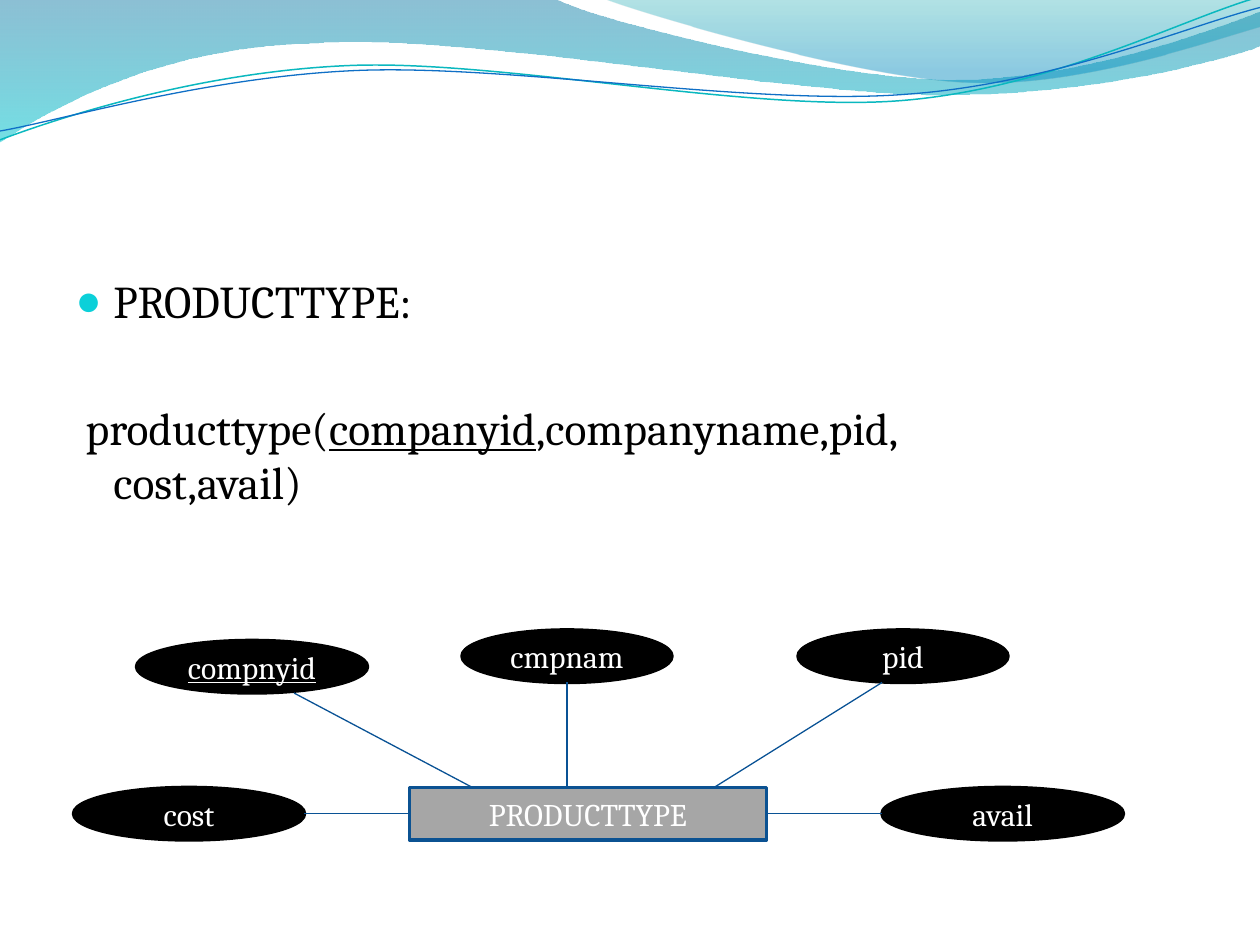
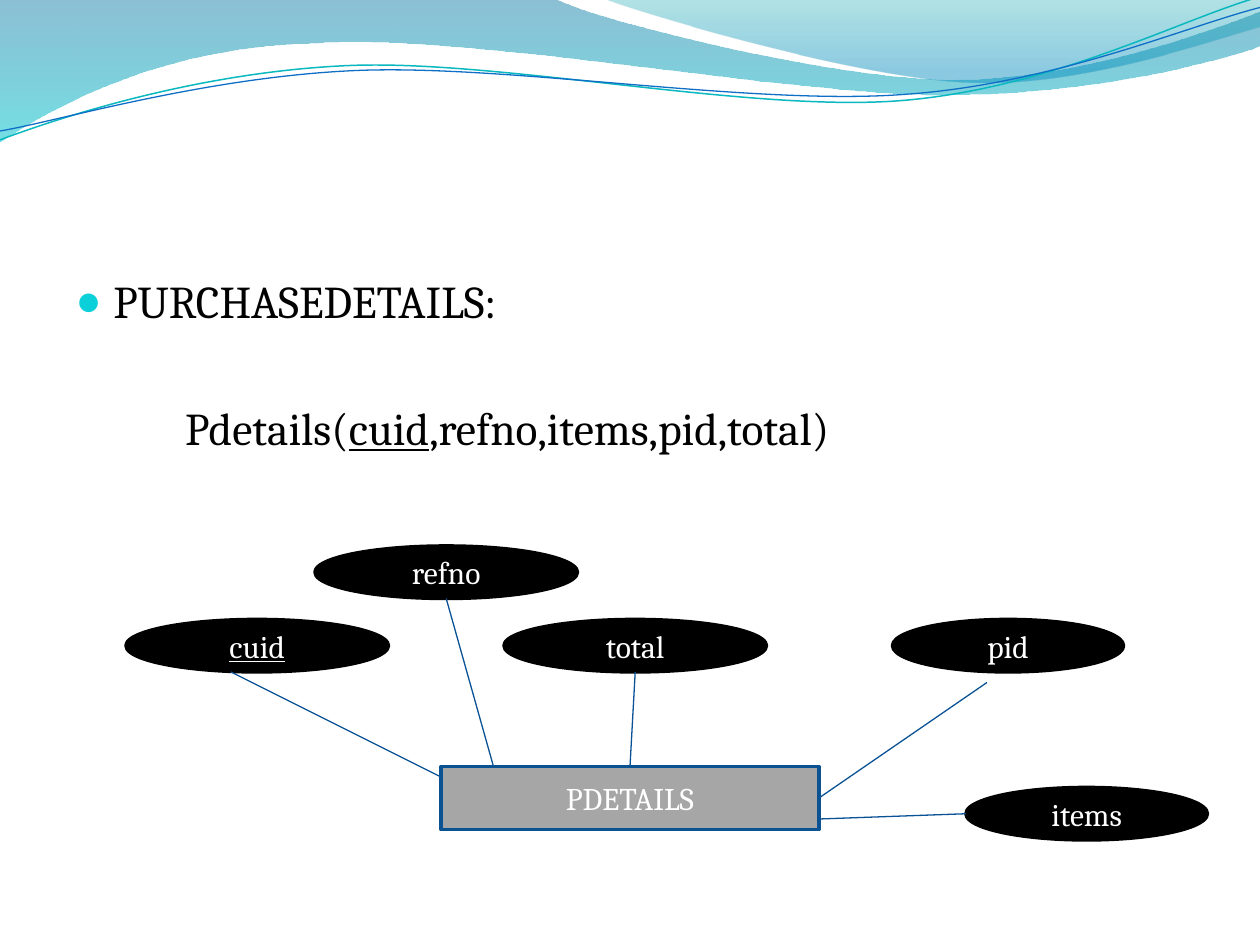
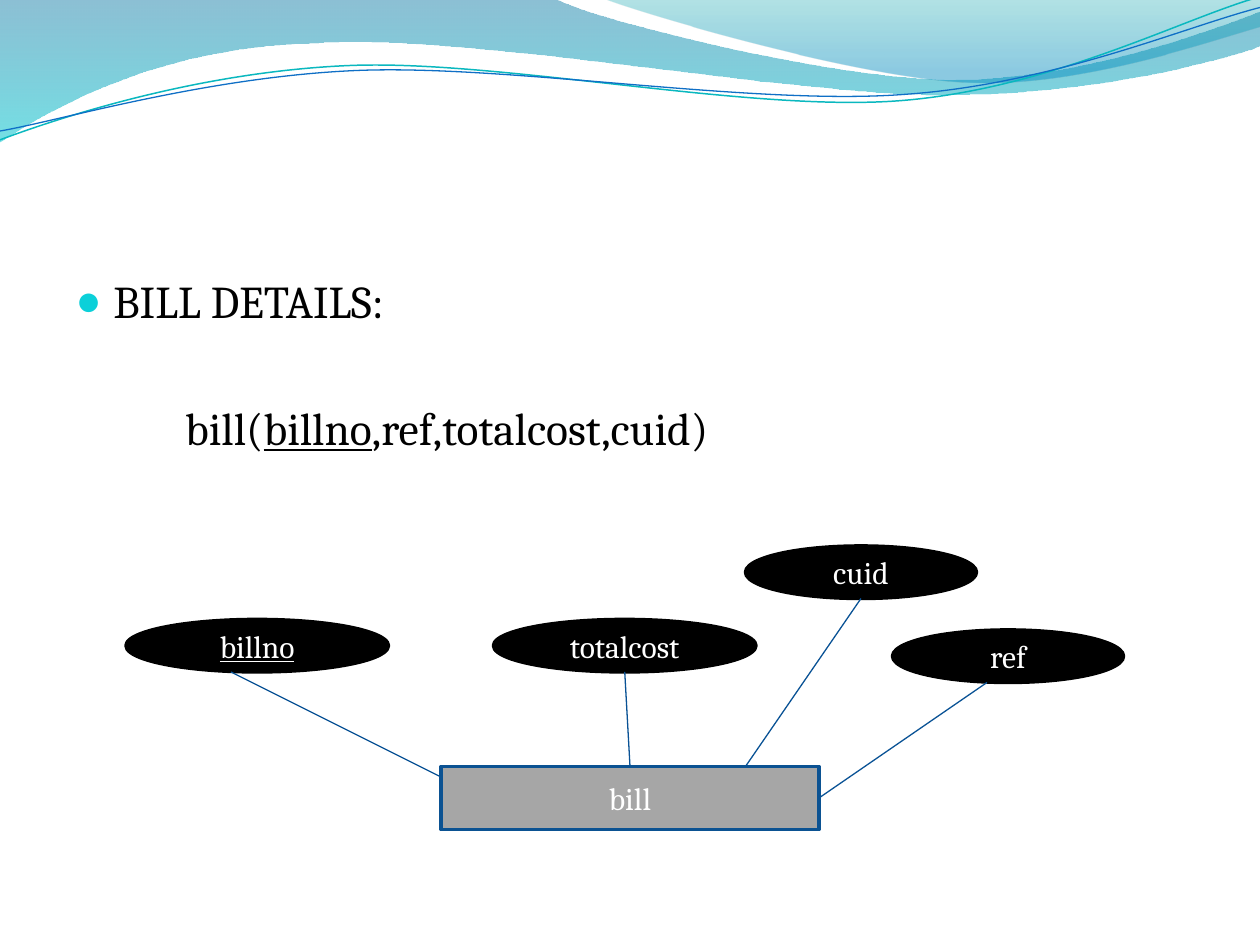
import math

import pptx
import pptx.dml.color
import pptx.enum.shapes
import pptx.enum.text
import pptx.oxml
import pptx.oxml.ns
import pptx.util
from lxml import etree

RGBColor = pptx.dml.color.RGBColor
qn = pptx.oxml.ns.qn
SHAPES = pptx.enum.shapes.MSO_SHAPE

BLACK = RGBColor(0x00, 0x00, 0x00)
WHITE = RGBColor(0xFF, 0xFF, 0xFF)
ENTITY_GREY = RGBColor(0xA6, 0xA6, 0xA6)
ENTITY_EDGE = RGBColor(0x0B, 0x52, 0x92)
LINK_BLUE = RGBColor(0x09, 0x52, 0x95)
BULLET_CYAN = RGBColor(0x0B, 0xD0, 0xD9)
WAVE_TEAL = RGBColor(0x0A, 0xB8, 0xBF)
WAVE_BLUE = RGBColor(0x0F, 0x6F, 0xC6)
BAND_STOPS = [(0, RGBColor(0x00, 0x74, 0xA1), 45), (1, RGBColor(0x00, 0xC6, 0xCF), 55)]
CREST_STOPS = [(0, RGBColor(0x00, 0xA1, 0xA9), 30), (0.8, RGBColor(0x00, 0x8B, 0xBF), 45)]

FONT = "Cambria"
CELL = pptx.util.Inches(1) // 12
OVAL_ROWS = 5
WAVE_TILT = 357.3
TOP, LEFT, RIGHT = 0, 1, 3

BAND = [[(0, 0)], [(4.4, -0.01)],
        [(4.76, 0.17), (6.64, 0.63), (7.58, 0.63)],
        [(8.53, 0.63), (9.58, 0.26), (10, 0.09)], [(10.01, 0.36)],
        [(9.83, 0.44), (8.7, 0.76), (7.46, 0.75)],
        [(6.22, 0.75), (3.82, 0.28), (2.57, 0.34)],
        [(1.29, 0.36), (0.46, 0.83), (-0.01, 1.13)], [(0, 0)]]
CREST = [[(4.79, -0.01)],
         [(5.09, 0.11), (6.82, 0.62), (7.69, 0.65)],
         [(8.56, 0.69), (9.61, 0.32), (10, 0.21)], [(10, 0)], [(4.79, -0.01)]]
TEAL_LINE = [[(0, 1.11)],
             [(0.48, 0.93), (1.58, 0.57), (2.77, 0.52)],
             [(3.95, 0.47), (5.93, 0.89), (7.13, 0.8)],
             [(8.33, 0.71), (9.38, 0.15), (9.98, -0.02)]]
BLUE_LINE = [[(0, 1.04)],
             [(0.47, 0.96), (1.64, 0.61), (2.83, 0.56)],
             [(4.03, 0.51), (5.97, 0.84), (7.17, 0.75)],
             [(8.36, 0.67), (9.41, 0.21), (10, 0.06)]]
TEAL_PIVOT = (4.99, 0.58)
BLUE_PIVOT = (5, 0.59)

PAGES = [
    {"heading": "PRODUCTTYPE:",
     "schema": ("producttype(", "companyid", ",companyname,pid,\ncost,avail)"),
     "margin": 0.3, "indent": -0.22,
     "entity": ("PRODUCTTYPE", 39, 75, 34, 5),
     "attributes": [("cost", 7, 75, 22), ("compnyid", 13, 61, 22), ("cmpnam", 44, 60, 20),
                    ("pid", 76, 60, 20), ("avail", 84, 75, 23)],
     "key": "compnyid",
     "links": [((28, 66), (45, 75)), ((29, 77.5), LEFT), ((84, 65), (68, 75)),
               ((54, 65), (54, 75)), ((84, 77.5), RIGHT)]},
    {"heading": "PURCHASEDETAILS:",
     "schema": ("Pdetails(", "cuid", ",refno,items,pid,total)"),
     "margin": 0.87, "indent": 0,
     "entity": ("PDETAILS", 42, 73, 36, 6),
     "attributes": [("cuid", 12, 59, 25), ("total", 48, 59, 25), ("pid", 85, 59, 22),
                    ("items", 92, 75, 23), ("refno", 30, 52, 25)],
     "key": "cuid",
     "links": [((22, 64), (42, 74)), ((60.5, 64), TOP), ((94, 65), (78, 76)),
               ((92, 77.5), (78, 78)), ((42.5, 57), (47, 73))]},
    {"heading": "BILL DETAILS:",
     "schema": ("bill(", "billno", ",ref,totalcost,cuid)"),
     "margin": 0.87, "indent": 0,
     "entity": ("bill", 42, 73, 36, 6),
     "attributes": [("billno", 12, 59, 25), ("totalcost", 47, 59, 25), ("ref", 85, 60, 22),
                    ("cuid", 71, 52, 22)],
     "key": "billno",
     "links": [((22, 64), (42, 74)), ((59.5, 64), TOP), ((94, 65), (78, 76)),
               ((82, 57), (71, 73))]},
]


def cells(*counts):
    return [round(count * CELL) for count in counts]


def write(para, text, size=18, color=WHITE, underline=False):
    for number, piece in enumerate(text.split("\n")):
        if number:
            para.add_line_break()
            line_break = para._p.findall(qn("a:br"))[-1]
            etree.SubElement(line_break, qn("a:rPr"), sz=str(size * 100))
        span = para.add_run()
        span.text = piece
        span.font.name = FONT
        span.font.size = pptx.util.Pt(size)
        span.font.color.rgb = color
        if underline:
            span.font.underline = True


def level(segments, pivot):
    angle = math.radians(360 - WAVE_TILT)
    cosine, sine = math.cos(angle), math.sin(angle)
    middle, height = pivot
    return [[(middle + (x - middle) * cosine - (y - height) * sine,
              height + (x - middle) * sine + (y - height) * cosine) for x, y in segment]
            for segment in segments]


def build_curve(page, segments, close):
    points = [tuple(map(pptx.util.Inches, point)) for segment in segments for point in segment]
    builder = page.shapes.build_freeform(*points[0])
    builder.add_line_segments(points[1:], close=close)
    wave = builder.convert_to_shape()
    steps = iter(wave.element.findall(".//" + qn("a:lnTo")))
    for segment in segments[1:]:
        first, *others = [next(steps) for point in segment]
        if others:
            first.addprevious(curve := etree.Element(qn("a:cubicBezTo")))
            for step in (first, *others):
                curve.append(step[0])
                step.getparent().remove(step)
    return wave


def add_band(page, segments, stops):
    wave = build_curve(page, segments, close=True)
    wave.shadow.inherit = False
    wave.line.fill.background()
    wave.fill.gradient()
    wave.fill.gradient_angle = 270
    for stop, (position, color, opacity) in zip(wave.fill.gradient_stops, stops):
        stop.position = position
        stop.color.rgb = color
    shades = wave.element.findall(".//" + qn("a:gs") + "/" + qn("a:srgbClr"))
    for shade, (position, color, opacity) in zip(shades, stops):
        etree.SubElement(shade, qn("a:alpha"), val=str(opacity * 1000))
    return wave


def add_wave_line(page, segments, pivot, color, width):
    wave = build_curve(page, level(segments, pivot), close=False)
    wave.shadow.inherit = False
    wave.rotation = WAVE_TILT
    wave.fill.background()
    wave.line.color.rgb = color
    wave.line.width = pptx.util.Pt(width)
    return wave


def decorate_layout(layout, page):
    waves = [add_band(page, BAND, BAND_STOPS),
             add_band(page, CREST, CREST_STOPS),
             add_wave_line(page, TEAL_LINE, TEAL_PIVOT, WAVE_TEAL, 0.85),
             add_wave_line(page, BLUE_LINE, BLUE_PIVOT, WAVE_BLUE, 0.75)]
    for number, wave in enumerate(waves):
        wave.element.find(".//" + qn("p:cNvPr")).set("id", str(20 + number))
        layout.shapes.element.insert(2 + number, wave.element)


def set_indent(para, margin, indent, bullet=None):
    properties = para._p.get_or_add_pPr()
    properties.set("marL", str(pptx.util.Inches(margin)))
    properties.set("indent", str(pptx.util.Inches(indent)))
    if bullet:
        color = etree.SubElement(properties, qn("a:buClr"))
        etree.SubElement(color, qn("a:srgbClr"), val=str(BULLET_CYAN))
        etree.SubElement(properties, qn("a:buSzPct"), val="95000")
        etree.SubElement(properties, qn("a:buChar"), char=bullet)
    else:
        etree.SubElement(properties, qn("a:buNone"))


def fill_body(page, content):
    title = page.shapes.title
    title.element.getparent().remove(title.element)
    body = page.placeholders[1]
    body.left, body.top, body.width, body.height = map(pptx.util.Inches, (0.5, 2.12, 9, 4.8))
    heading = body.text_frame.paragraphs[0]
    set_indent(heading, 0.3, -0.3, bullet="●")
    heading.space_before = pptx.util.Pt(0)
    write(heading, content["heading"], size=26, color=BLACK)
    schema = body.text_frame.add_paragraph()
    set_indent(schema, content["margin"], content["indent"])
    schema.space_before = pptx.util.Pt(41)
    for part, text in enumerate(content["schema"]):
        write(schema, text, size=26, color=BLACK, underline=part == 1)


def add_node(page, kind, text, place, fill, edge, underline=False):
    node = page.shapes.add_shape(kind, *cells(*place))
    node.shadow.inherit = False
    node.fill.solid()
    node.fill.fore_color.rgb = fill
    node.line.color.rgb = edge
    node.line.width = pptx.util.Pt(2)
    node.text_frame.vertical_anchor = pptx.enum.text.MSO_ANCHOR.MIDDLE
    para = node.text_frame.paragraphs[0]
    para.alignment = pptx.enum.text.PP_ALIGN.CENTER
    write(para, text, underline=underline)
    return node


def add_link(page, entity, start, end):
    joined = isinstance(end, int)
    finish = start if joined else end
    link = page.shapes.add_connector(pptx.enum.shapes.MSO_CONNECTOR.STRAIGHT,
                                     *cells(*start, *finish))
    if joined:
        link.end_connect(entity, end)
    link.line.color.rgb = LINK_BLUE
    link.line.width = pptx.util.Pt(0.75)
    etree.SubElement(link.element.spPr, qn("a:effectLst"))


def draw_diagram(page, content):
    name, *place = content["entity"]
    entity = add_node(page, SHAPES.RECTANGLE, name, place, ENTITY_GREY, ENTITY_EDGE)
    for text, column, row, columns in content["attributes"]:
        add_node(page, SHAPES.OVAL, text, (column, row, columns, OVAL_ROWS), BLACK, BLACK,
                 underline=text == content["key"])
    for start, end in content["links"]:
        add_link(page, entity, start, end)


def main():
    deck = pptx.Presentation()
    deck.slide_width = pptx.util.Inches(10)
    deck.slide_height = pptx.util.Inches(7.5)
    layout = deck.slide_layouts[1]
    for number, content in enumerate(PAGES):
        page = deck.slides.add_slide(layout)
        if number == 0:
            decorate_layout(layout, page)
        fill_body(page, content)
        draw_diagram(page, content)
    deck.save("out.pptx")


if __name__ == "__main__":
    main()
